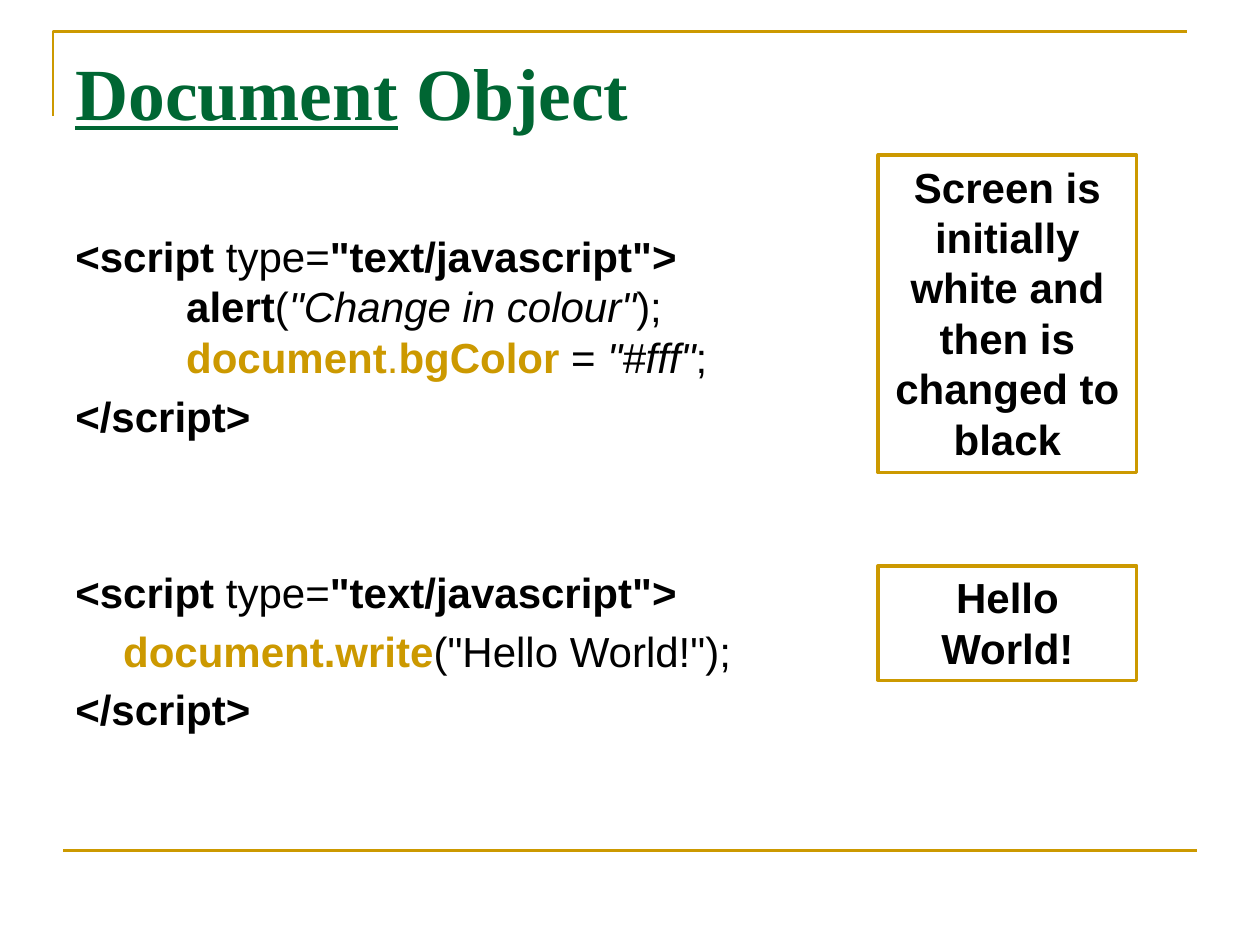
from dataclasses import dataclass

from lxml import etree
from pptx import Presentation
from pptx.dml.color import RGBColor
from pptx.enum import shapes, text
from pptx.oxml.ns import qn
from pptx.util import Inches, Pt

GOLD = RGBColor(0xCC, 0x99, 0x00)
GREEN = RGBColor(0x00, 0x66, 0x33)
BLACK = RGBColor(0x00, 0x00, 0x00)
LINE_SPACING = 1.2
CODE_SIZE = 24
INDENT = 0.38


@dataclass(frozen=True)
class Run:
    text: str
    bold: bool = False
    italic: bool = False
    underline: bool = False
    color: RGBColor = BLACK
    font: str = "Arial"
    size: int = CODE_SIZE


@dataclass(frozen=True)
class CodeLine:
    """One paragraph of code; each inner tuple is a line within it."""
    lines: tuple[tuple[Run, ...], ...]
    space_before: float = 0.2 * CODE_SIZE


@dataclass(frozen=True)
class Note:
    top: float
    height: float
    text: str


SCRIPT_OPEN = (Run("<script", True), Run(" type="), Run('"text/javascript">', True))
SCRIPT_CLOSE = (Run("</script>", True),)
CODE = (
    CodeLine((
        SCRIPT_OPEN,
        (Run("\talert", True), Run("("), Run('"Change in colour"', italic=True), Run(");")),
        (Run("\tdocument", True, color=GOLD), Run(".", color=GOLD),
         Run("bgColor", True, color=GOLD), Run(" = "),
         Run('"#fff"', italic=True), Run(";")),
    ), space_before=0),
    CodeLine((SCRIPT_CLOSE,)),
    CodeLine((SCRIPT_OPEN,), space_before=72),
    CodeLine(((Run("\tdocument.write", True, color=GOLD), Run('("Hello World!");')),)),
    CodeLine((SCRIPT_CLOSE,)),
)
TITLE = (
    Run("Document", True, underline=True, color=GREEN, font="Times New Roman", size=42),
    Run(" Object", True, color=GREEN, font="Times New Roman", size=42),
)
NOTES = (
    Note(1.23, 2.52, "Screen is initially white and then is changed to black"),
    Note(4.49, 0.91, "Hello World!"),
)


def add_runs(p, runs: tuple[Run, ...]) -> None:
    p.line_spacing = Pt(LINE_SPACING * runs[0].size)
    for run in runs:
        r = p.add_run()
        r.text = run.text
        font = r.font
        font.name, font.size = run.font, Pt(run.size)
        font.bold, font.italic, font.underline = run.bold, run.italic, run.underline
        font.color.rgb = run.color


def add_text_frame(s, top: float, height: float):
    tf = s.shapes.add_textbox(Inches(0.5), Inches(top), Inches(9), Inches(height)).text_frame
    tf.word_wrap = True
    return tf


def add_frame_lines(s) -> None:
    builder = s.shapes.build_freeform(Inches(0.42), Inches(0.92))
    builder.add_line_segments(
        [(Inches(0.42), Inches(0.25)), (Inches(9.42), Inches(0.25))], close=False)
    corner = builder.convert_to_shape()
    corner.fill.background()
    corner.shadow.inherit = False
    rule = s.shapes.add_connector(
        shapes.MSO_CONNECTOR.STRAIGHT, Inches(0.5), Inches(6.75), Inches(9.5), Inches(6.75))
    etree.SubElement(rule._element.spPr, qn("a:effectLst"))
    for outline in (corner.line, rule.line):
        outline.color.rgb = GOLD
        outline.width = Pt(1.5)
    # Keep the effect list after the outline, as the schema orders them.
    sp_pr = rule._element.spPr
    sp_pr.append(sp_pr.find(qn("a:effectLst")))


def add_title(s) -> None:
    tf = add_text_frame(s, 0.3, 1.25)
    tf.margin_top = Inches(0.07)
    add_runs(tf.paragraphs[0], TITLE)


def add_code(s) -> None:
    tf = add_text_frame(s, 1.78, 4.73)
    for i, code_line in enumerate(CODE):
        p = tf.add_paragraph() if i else tf.paragraphs[0]
        p.space_before = Pt(code_line.space_before)
        p_pr = p._p.get_or_add_pPr()
        p_pr.set("marL", str(Inches(INDENT)))
        p_pr.set("indent", str(-Inches(INDENT)))
        for j, runs in enumerate(code_line.lines):
            if j:
                p.add_line_break()
            add_runs(p, runs)


def add_note(s, note: Note) -> None:
    sp = s.shapes.add_shape(
        shapes.MSO_SHAPE.RECTANGLE,
        Inches(6.97), Inches(note.top), Inches(2.05), Inches(note.height))
    sp.shadow.inherit = False
    sp.fill.background()
    sp.line.color.rgb = GOLD
    sp.line.width = Pt(2)
    tf = sp.text_frame
    tf.word_wrap = True
    tf.auto_size = text.MSO_AUTO_SIZE.SHAPE_TO_FIT_TEXT
    tf.vertical_anchor = text.MSO_ANCHOR.TOP
    p = tf.paragraphs[0]
    p.alignment = text.PP_ALIGN.CENTER
    add_runs(p, (Run(note.text, True),))


def main() -> None:
    prs = Presentation()
    prs.slide_width, prs.slide_height = Inches(10), Inches(7.5)
    s = prs.slides.add_slide(prs.slide_layouts[6])
    add_frame_lines(s)
    add_title(s)
    add_code(s)
    for note in NOTES:
        add_note(s, note)
    prs.save("out.pptx")


if __name__ == "__main__":
    main()
